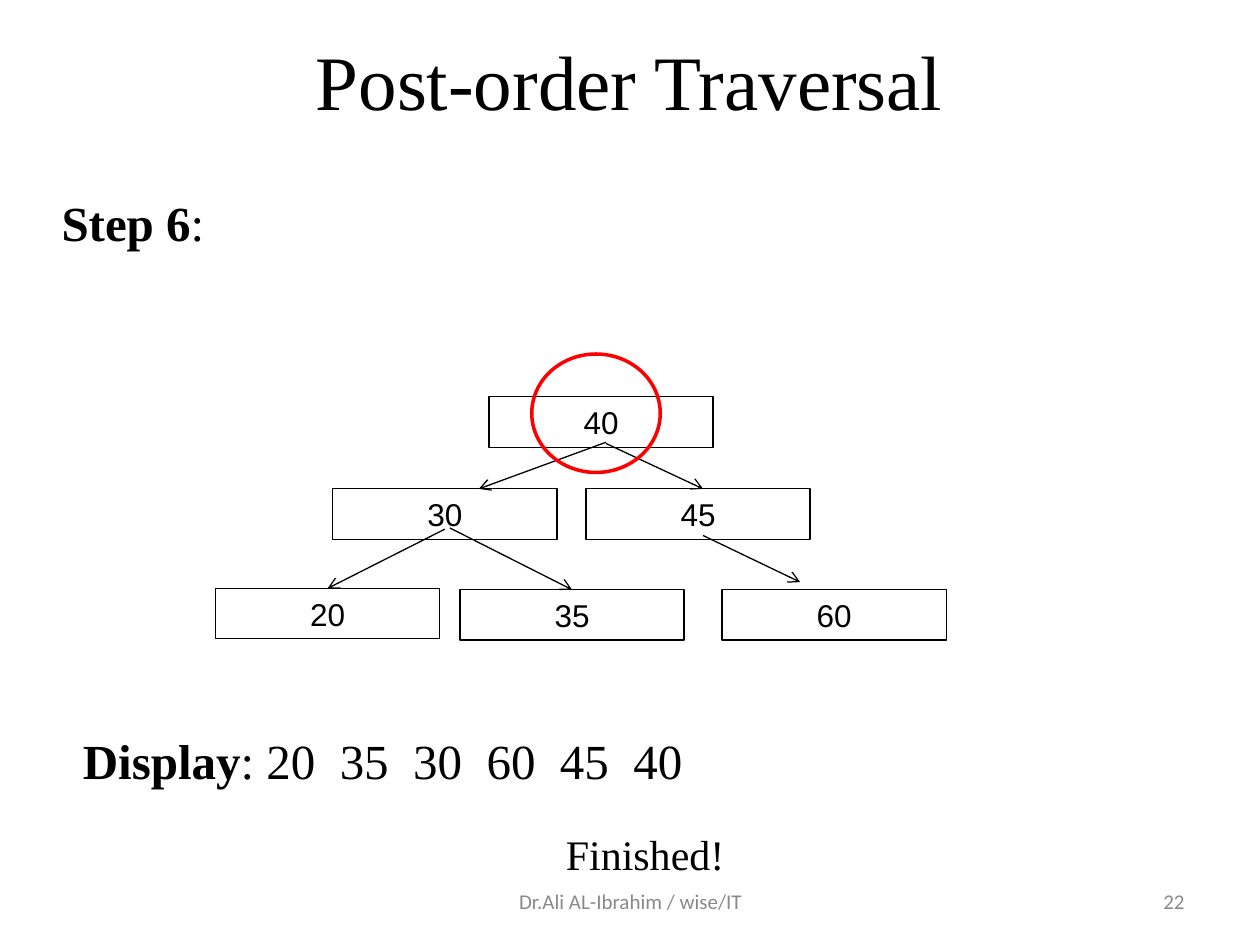
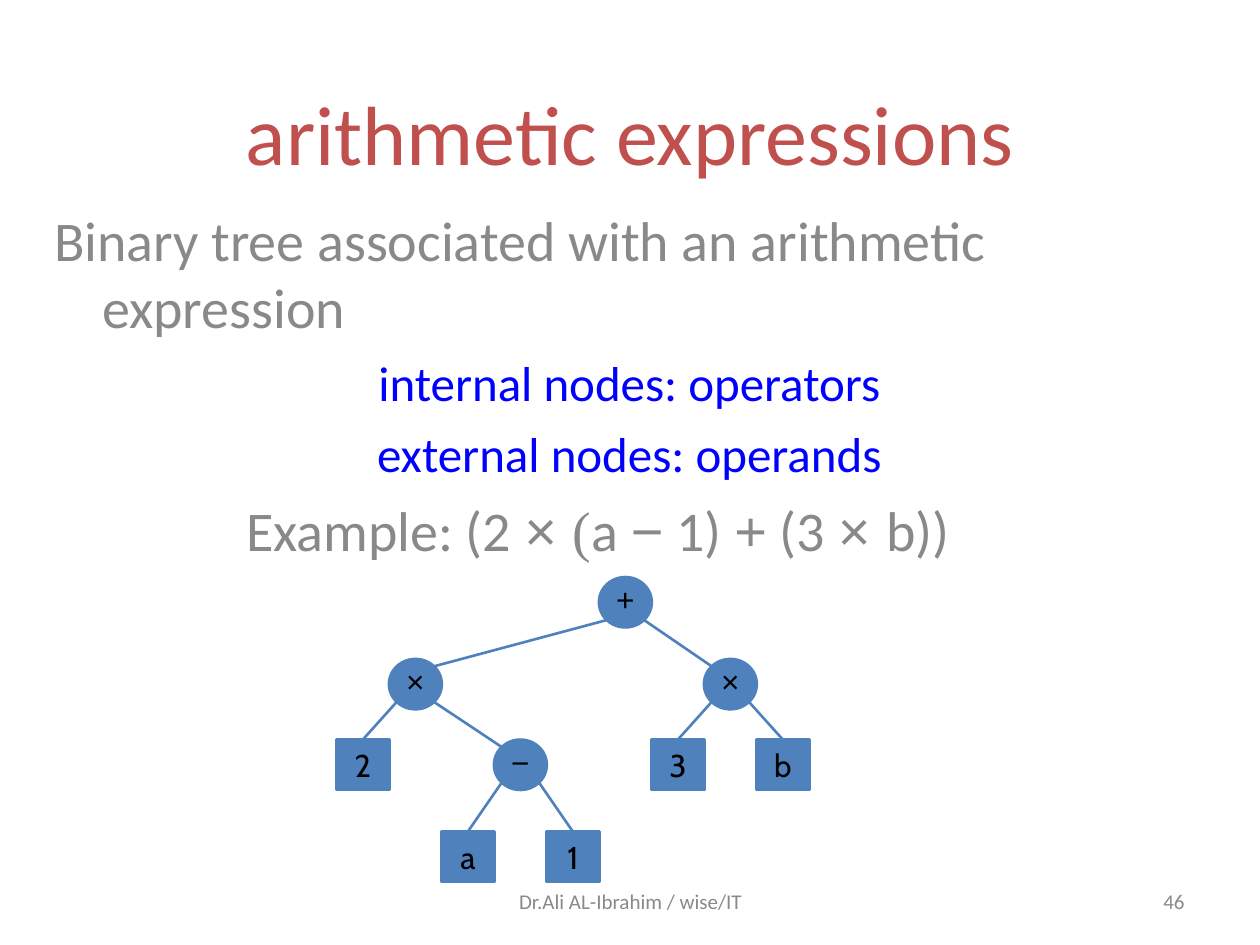
from dataclasses import dataclass
from math import sqrt

from lxml import etree
from pptx import Presentation
from pptx.dml.color import RGBColor
from pptx.enum import shapes, text
from pptx.oxml.ns import qn
from pptx.util import Inches, Pt


@dataclass(frozen=True)
class Theme:
    black: str = "000000"
    grey: str = "898989"
    red: str = "FF0000"
    brick: str = "C0504D"
    blue: str = "0000FF"
    node_blue: str = "4F81BD"
    serif: str = "Times New Roman"
    sans: str = "Calibri"
    symbol: str = "Arial"
    leaf: str = "Cabin"
    title: int = 44
    large_title: int = 48
    body: int = 32
    step: int = 28
    closing: int = 24
    node: int = 18
    footer: int = 12


THEME = Theme()
CENTER = text.PP_ALIGN.CENTER
LEFT = text.PP_ALIGN.LEFT
RIGHT = text.PP_ALIGN.RIGHT
RECTANGLE = shapes.MSO_SHAPE.RECTANGLE
OVAL = shapes.MSO_SHAPE.OVAL
FOOTER = "Dr.Ali AL-Ibrahim / wise/IT"

# Search tree: value -> left and top of its box
BOX_WIDTH, BOX_HEIGHT = 1.78, 0.4
BOXES = {"40": (3.88, 3.15), "45": (4.65, 3.88), "30": (2.64, 3.88),
         "60": (5.73, 4.68), "20": (1.71, 4.67), "35": (3.65, 4.68)}
# Start, end, and the value of the box whose top the arrow joins
ARROWS = [((4.81, 3.52), (5.58, 3.88), None),
          ((4.81, 3.51), (3.80, 3.88), None),
          ((5.58, 4.25), (6.35, 4.62), None),
          ((3.53, 4.20), (2.60, 4.67), "20"),
          ((3.57, 4.19), (4.54, 4.68), "35")]

# Expression tree: name -> symbol, column, row
NODE_WIDTH, NODE_HEIGHT = 0.42, 0.4
FIRST_COLUMN, COLUMN_STEP = 2.67, 5 / 12
ROW_TOPS = (4.58, 5.23, 5.87, 6.6)
OPERATORS = {"sum": ("+", 5, 0), "right product": ("×", 7, 1),
             "left product": ("×", 1, 1), "difference": ("−", 3, 2)}
OPERANDS = {"2": (0, 2), "a": (2, 3), "1": (4, 3), "3": (6, 2), "b": (8, 2)}
CHILDREN = {"sum": ("left product", "right product"),
            "left product": ("2", "difference"),
            "right product": ("3", "b"),
            "difference": ("a", "1")}


def color(value):
    return RGBColor.from_string(value)


def inches(*lengths):
    return [Inches(length) for length in lengths]


def format_run(run, font, size, rgb, bold=False):
    run.font.name = font
    run.font.size = Pt(size)
    run.font.color.rgb = color(rgb)
    run.font.bold = bold


def set_frame(shape, anchor, margins=(0.1, 0.05, 0.1, 0.05), wrap=True):
    frame = shape.text_frame
    frame.auto_size = text.MSO_AUTO_SIZE.NONE
    frame.word_wrap = wrap
    frame.vertical_anchor = anchor
    (frame.margin_left, frame.margin_top,
     frame.margin_right, frame.margin_bottom) = inches(*margins)
    return frame


def write_line(frame, content, font, size, rgb=THEME.black, align=CENTER):
    frame.text = content
    paragraph = frame.paragraphs[0]
    paragraph.alignment = align
    format_run(paragraph.runs[0], font, size, rgb)


def place(shape, left, top, width, height):
    shape.left, shape.top, shape.width, shape.height = inches(left, top, width, height)


def set_title(slide, content, box, font, size, rgb):
    title = slide.shapes.title
    place(title, *box)
    write_line(set_frame(title, text.MSO_ANCHOR.MIDDLE), content, font, size, rgb)


def add_text(slide, content, box, font, size, rgb=THEME.black, align=LEFT,
             anchor=text.MSO_ANCHOR.TOP):
    frame = set_frame(slide.shapes.add_textbox(*inches(*box)), anchor)
    write_line(frame, content, font, size, rgb, align)
    return frame


def add_labelled_text(slide, label, content, box):
    """Add a line that opens with a bold label."""
    frame = add_text(slide, label, box, THEME.serif, THEME.step)
    paragraph = frame.paragraphs[0]
    paragraph.runs[0].font.bold = True
    run = paragraph.add_run()
    run.text = content
    format_run(run, THEME.serif, THEME.step, THEME.black)


def add_footer(slide, number):
    for content, left, width, align in ((number, 7.17, 2.33, RIGHT),
                                        (FOOTER, 3.42, 3.17, CENTER)):
        add_text(slide, content, (left, 6.95, width, 0.4), THEME.sans,
                 THEME.footer, THEME.grey, align, text.MSO_ANCHOR.MIDDLE)


def add_outline(slide, kind, box, line_color, line_width, fill=None):
    shape = slide.shapes.add_shape(kind, *inches(*box))
    shape.shadow.inherit = False
    if fill:
        shape.fill.solid()
        shape.fill.fore_color.rgb = color(fill)
    else:
        shape.fill.background()
    shape.line.color.rgb = color(line_color)
    shape.line.width = Pt(line_width)
    return shape


def add_line(slide, start, end, rgb, width, target=None, arrow=False):
    """Draw a line, joined to the top of target when one is given."""
    line = slide.shapes.add_connector(
        shapes.MSO_CONNECTOR.STRAIGHT, *inches(*start, *end))
    if target is not None:
        line.end_connect(target, 0)
    line.line.color.rgb = color(rgb)
    line.line.width = Pt(width)
    if arrow:
        etree.SubElement(line.line._get_or_add_ln(), qn("a:tailEnd"), type="arrow")
    etree.SubElement(line._element.spPr, qn("a:effectLst"))


def add_search_tree(slide):
    boxes = {}
    for value, (left, top) in BOXES.items():
        box = add_outline(slide, RECTANGLE, (left, top, BOX_WIDTH, BOX_HEIGHT),
                          THEME.black, 0.75)
        write_line(set_frame(box, text.MSO_ANCHOR.TOP), value, THEME.symbol, THEME.node)
        boxes[value] = box
    for start, end, value in ARROWS:
        add_line(slide, start, end, THEME.black, 0.75, boxes.get(value), arrow=True)
    add_outline(slide, OVAL, (4.22, 2.81, 1.02, 0.94), THEME.red, 2)


def add_node(slide, kind, symbol, column, row, font, margins):
    left = FIRST_COLUMN + column * COLUMN_STEP
    node = add_outline(slide, kind, (left, ROW_TOPS[row], NODE_WIDTH, NODE_HEIGHT),
                       THEME.node_blue, 1.5, THEME.node_blue)
    frame = set_frame(node, text.MSO_ANCHOR.MIDDLE, margins, wrap=False)
    write_line(frame, symbol, font, THEME.node)
    return node


def diagonal_point(column, row, across, down):
    """Point on a circle's edge at 45 degrees; across and down are 1 or -1."""
    return (FIRST_COLUMN + column * COLUMN_STEP
            + NODE_WIDTH / 2 * (1 + across / sqrt(2)),
            ROW_TOPS[row] + NODE_HEIGHT / 2 * (1 + down / sqrt(2)))


def add_expression_tree(slide):
    for symbol, column, row in OPERATORS.values():
        add_node(slide, OVAL, symbol, column, row, THEME.symbol, (0, 0, 0, 0.05))
    leaves = {symbol: add_node(slide, RECTANGLE, symbol, column, row, THEME.leaf,
                               (0.1, 0.05, 0.1, 0.05))
              for symbol, (column, row) in OPERANDS.items()}
    for parent, children in CHILDREN.items():
        for child, side in zip(children, (-1, 1)):
            start = diagonal_point(*OPERATORS[parent][1:], side, 1)
            leaf = leaves.get(child)
            end = start if leaf else diagonal_point(*OPERATORS[child][1:], -side, -1)
            add_line(slide, start, end, THEME.node_blue, 1.5, leaf)


def add_paragraph(paragraph, runs, size, rgb, align, level, margin, indent, before):
    """Fill a paragraph with (text, font) runs and set its indents."""
    paragraph.alignment = align
    paragraph.level = level
    paragraph.space_before = Pt(before)
    properties = paragraph._p.get_or_add_pPr()
    properties.set("marL", str(Inches(margin)))
    properties.set("indent", str(Inches(indent)))
    for content, font in runs:
        run = paragraph.add_run()
        run.text = content
        format_run(run, font, size, rgb)


def fill_expression_text(body):
    place(body, 0.33, 1.58, 8.83, 1.92)
    frame = set_frame(body, text.MSO_ANCHOR.TOP)
    sans, symbol = THEME.sans, THEME.symbol
    main_style = dict(size=THEME.body, rgb=THEME.grey, level=0,
                      margin=0.38, indent=-0.38, before=8)
    node_style = dict(size=THEME.step, rgb=THEME.blue, level=1, align=CENTER,
                      margin=0.5, indent=0, before=7)
    add_paragraph(frame.paragraphs[0],
                  [("Binary tree associated with an arithmetic expression", sans)],
                  align=LEFT, **main_style)
    for content in ("internal nodes: operators", "external nodes: operands"):
        add_paragraph(frame.add_paragraph(), [(content, sans)], **node_style)
    example = [("Example: (2 ", sans), ("× ", symbol), ("(", THEME.serif),
               ("a ", sans), ("−", symbol), (" 1) ", sans), ("+", symbol),
               (" (3 ", sans), ("× ", symbol), ("b))", sans)]
    add_paragraph(frame.add_paragraph(), example, align=CENTER, **main_style)


def build_traversal_slide(presentation):
    slide = presentation.slides.add_slide(presentation.slide_layouts[5])
    set_title(slide, "Post-order Traversal", (0.23, 0.16, 9.53, 0.94),
              THEME.serif, THEME.title, THEME.black)
    add_search_tree(slide)
    add_labelled_text(slide, "Step 6", ":", (0.39, 1.48, 9.14, 0.57))
    add_labelled_text(slide, "Display", ": 20  35  30  60  45  40",
                      (0.56, 5.75, 9.14, 0.57))
    add_text(slide, "Finished!", (0.55, 6.53, 9.14, 0.5), THEME.serif,
             THEME.closing, align=CENTER)
    add_footer(slide, "22")


def build_expression_slide(presentation):
    slide = presentation.slides.add_slide(presentation.slide_layouts[0])
    set_title(slide, "arithmetic expressions", (0.75, 0.42, 8.5, 1.25),
              THEME.sans, THEME.large_title, THEME.brick)
    fill_expression_text(slide.placeholders[1])
    add_expression_tree(slide)
    add_footer(slide, "46")


def main():
    presentation = Presentation()
    presentation.slide_width, presentation.slide_height = inches(10, 7.5)
    build_traversal_slide(presentation)
    build_expression_slide(presentation)
    presentation.save("out.pptx")


if __name__ == "__main__":
    main()
